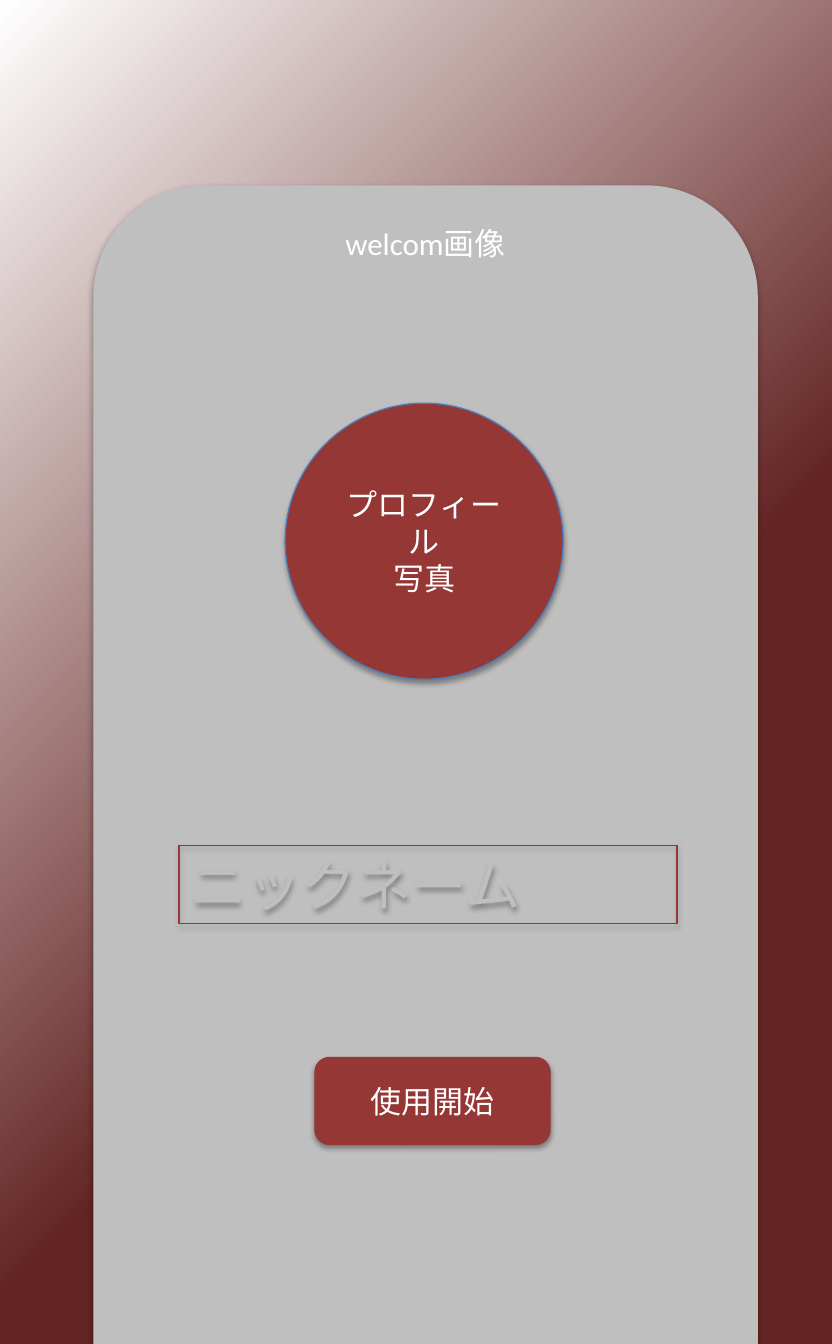
import pptx
import pptx.dml.color
import pptx.enum.shapes
import pptx.enum.text
import pptx.oxml
import pptx.oxml.ns
import pptx.util

RGB = pptx.dml.color.RGBColor
SHAPE = pptx.enum.shapes.MSO_SHAPE
ALIGN = pptx.enum.text.PP_ALIGN
ANCHOR = pptx.enum.text.MSO_ANCHOR
qn = pptx.oxml.ns.qn
NS = pptx.oxml.ns.nsdecls("a")

RED = RGB(0x95, 0x37, 0x35)
DARK_RED = RGB(0x63, 0x25, 0x23)
GREY = RGB(0xBF, 0xBF, 0xBF)
BLUE = RGB(0x4B, 0x7E, 0xBC)
WHITE = RGB(0xFF, 0xFF, 0xFF)
BLACK = RGB(0, 0, 0)
SCALE = 914400 / 124


def px(n):
    return pptx.util.Emu(round(n * SCALE))


prs = pptx.Presentation()
prs.slide_width, prs.slide_height = pptx.util.Pt(483), pptx.util.Pt(780)
s = prs.slides.add_slide(prs.slide_layouts[6])

# Background: dark red in the lower right corner, fading to white
s.background.fill.solid()
bg = s.element.find(".//" + qn("p:bgPr"))
stops = "".join(
    f'<a:gs pos="{pos}000"><a:srgbClr val="{color}"><a:alpha val="93000"/></a:srgbClr></a:gs>'
    for pos, color in ((40, DARK_RED), (100, WHITE)))
bg.replace(bg[0], pptx.oxml.parse_xml(
    f'<a:gradFill {NS} rotWithShape="1"><a:gsLst>{stops}</a:gsLst>'
    '<a:path path="circle"><a:fillToRect l="100000" t="100000"/></a:path></a:gradFill>'))

# Phone screen, nickname field, start button, profile photo
parts = [
    (SHAPE.ROUND_2_SAME_RECTANGLE, (94, 186, 663, 1157), GREY, GREY,
     "welcom画像", 18, "Calibri", WHITE, ALIGN.CENTER, ANCHOR.TOP),
    (SHAPE.RECTANGLE, (179, 845, 498, 78), None, RED,
     "ニックネーム", 32, "Noto Sans CJK JP", GREY, ALIGN.LEFT, ANCHOR.MIDDLE),
    (SHAPE.ROUNDED_RECTANGLE, (315, 1057, 235, 87), RED, RED,
     "使用開始", 18, "Calibri", WHITE, ALIGN.CENTER, ANCHOR.MIDDLE),
    (SHAPE.OVAL, (285, 403, 278, 276), RED, BLUE,
     "プロフィール\n写真", 18, "Calibri", WHITE, ALIGN.CENTER, ANCHOR.MIDDLE),
]
for kind, box, fill, line, text, size, font, color, align, anchor in parts:
    sp = s.shapes.add_shape(kind, *map(px, box))
    if fill is None:
        sp.fill.background()
    else:
        sp.fill.solid()
        sp.fill.fore_color.rgb = fill
    sp.line.color.rgb = line
    sp.line.width = pptx.util.Pt(0.75)

    # Soft shadow straight below
    sp.element.spPr.append(pptx.oxml.parse_xml(
        f'<a:effectLst {NS}><a:outerShdw blurRad="40000" dist="23000" dir="5400000" '
        f'rotWithShape="0"><a:srgbClr val="{BLACK}"><a:alpha val="35000"/></a:srgbClr>'
        '</a:outerShdw></a:effectLst>'))

    tf = sp.text_frame
    tf.word_wrap = True
    tf.vertical_anchor = anchor
    tf.text = text
    for p in tf.paragraphs:
        p.alignment = align
        p.font.size = pptx.util.Pt(size)
        p.font.name = font
        p.font.color.rgb = color

prs.save("out.pptx")
